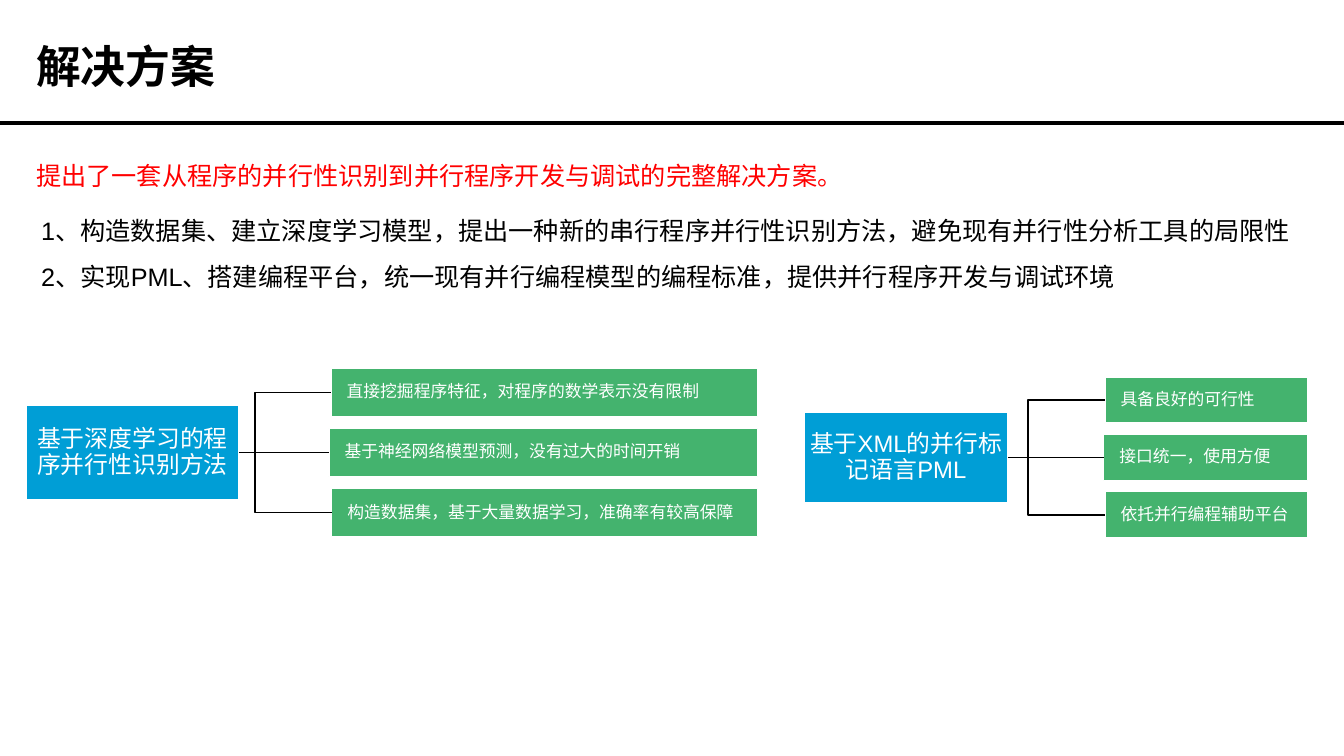
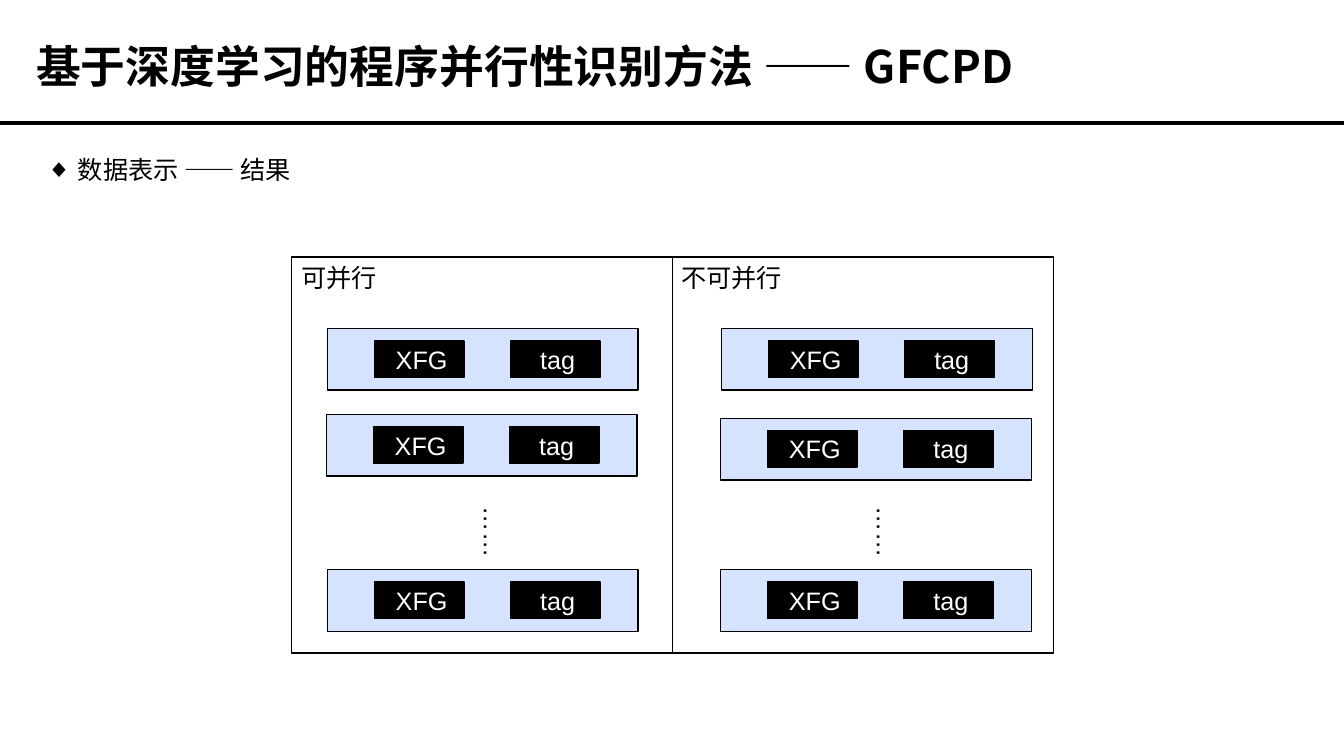
"""Build two slides: the solution overview and the data representation of GFCPD."""
from lxml import etree
from pptx import Presentation
from pptx.dml.color import RGBColor
from pptx.enum import lang, shapes, text
from pptx.oxml import ns
from pptx.util import Pt

BLACK = RGBColor(0x00, 0x00, 0x00)
WHITE = RGBColor(0xFF, 0xFF, 0xFF)
RED = RGBColor(0xFF, 0x00, 0x00)
BLUE = RGBColor(0x00, 0x9E, 0xD6)
GREEN = RGBColor(0x44, 0xB3, 0x6E)
PALE_BLUE = RGBColor(0xD5, 0xE3, 0xFF)
LATIN, CJK = "Arial", "Noto Sans CJK SC"

SOLUTION_TITLE = "解决方案"
SUMMARY = "提出了一套从程序的并行性识别到并行程序开发与调试的完整解决方案。"
STEPS = [
    "1、构造数据集、建立深度学习模型，提出一种新的串行程序并行性识别方法，避免现有并行性分析工具的局限性",
    "2、实现PML、搭建编程平台，统一现有并行编程模型的编程标准，提供并行程序开发与调试环境",
]
TREES = [
    {
        "root": "基于深度学习的程序并行性识别方法",
        "left": 18.7, "width": 152, "height": 67.4, "middle": 323.2,
        "spine": 182.2, "leaf_right": 541.2, "leaf_height": 34.5, "pitch": 43,
        "leaves": [
            (236.4, "直接挖掘程序特征，对程序的数学表示没有限制"),
            (235, "基于神经网络模型预测，没有过大的时间开销"),
            (237, "构造数据集，基于大量数据学习，准确率有较高保障"),
        ],
    },
    {
        "root": "基于XML的并行标记语言PML",
        "left": 574.5, "width": 145.4, "height": 65, "middle": 326.8,
        "spine": 734.4, "leaf_right": 933.8, "leaf_height": 33, "pitch": 41,
        "leaves": [
            (789.2, "具备良好的可行性"),
            (788.4, "接口统一，使用方便"),
            (789.2, "依托并行编程辅助平台"),
        ],
    },
]

DATA_TITLE = "基于深度学习的程序并行性识别方法 —— GFCPD"
DATA_HEADING = "数据表示 —— 结果"
PANEL = (208, 183.6, 544.4, 283)
CLASSES = [
    {"name": "可并行", "left": 208, "width": 69, "dots": 331.2,
     "samples": [(234, 234.7), (233.3, 296), (234, 407)]},
    {"name": "不可并行", "left": 479.6, "width": 89.3, "dots": 612,
     "samples": [(515.5, 234.7), (514.8, 298.8), (514.8, 407)]},
]
SAMPLE_SIZE = (221.8, 44)
TAGS = [(33.3, "XFG"), (130.5, "tag")]
TAG_TOP, TAG_SIZE = 8.8, (64.2, 26)


def points(values):
    """Turn plain numbers into lengths in points."""
    return [Pt(value) for value in values]


def set_all(target, values):
    """Set each attribute in a dict of format values."""
    for name, value in values.items():
        setattr(target, name, value)


def write(frame, lines, size, color, font=LATIN, bold=False, **layout):
    """Fill a text frame with one paragraph for each line."""
    for number, line in enumerate(lines):
        para = frame.paragraphs[0] if number == 0 else frame.add_paragraph()
        set_all(para, layout)
        span = para.add_run()
        span.text = line
        span.font.color.rgb = color
        set_all(span.font, {
            "size": Pt(size), "bold": bold, "name": font,
            "language_id": lang.MSO_LANGUAGE_ID.SIMPLIFIED_CHINESE})
        east_asian = etree.SubElement(span._r.get_or_add_rPr(), ns.qn("a:ea"))
        east_asian.set("typeface", CJK)


def add_label(page, area, lines, size=18, color=BLACK, wrap=False, **style):
    """Add a text box that grows with its text."""
    box = page.shapes.add_textbox(*points(area))
    set_all(box.text_frame, {
        "word_wrap": wrap, "auto_size": text.MSO_AUTO_SIZE.SHAPE_TO_FIT_TEXT})
    write(box.text_frame, lines, size, color, **style)
    return box


def outline(shape, color, width=1):
    """Give a shape a plain outline without a shadow."""
    shape.shadow.inherit = False
    shape.line.color.rgb = color
    shape.line.width = Pt(width)


def add_box(page, area, fill=None, line=BLACK):
    """Add a rectangle."""
    box = page.shapes.add_shape(shapes.MSO_SHAPE.RECTANGLE, *points(area))
    outline(box, line)
    if fill is None:
        box.fill.background()
    else:
        box.fill.solid()
        box.fill.fore_color.rgb = fill
    return box


def add_text_box(page, area, words, fill, line, size, align, margins, **layout):
    """Add a rectangle with white text, centred in height."""
    box = add_box(page, area, fill, line)
    left, other = points(margins)
    set_all(box.text_frame, {
        "word_wrap": True, "vertical_anchor": text.MSO_ANCHOR.MIDDLE,
        "margin_left": left, "margin_right": other,
        "margin_top": other, "margin_bottom": other})
    write(box.text_frame, [words], size, WHITE, alignment=align, **layout)
    return box


def add_line(page, ends, width):
    """Add a straight black line."""
    line = page.shapes.add_connector(shapes.MSO_CONNECTOR.STRAIGHT, *points(ends))
    line.line.color.rgb = BLACK
    line.line.width = Pt(width)
    etree.SubElement(line._element.spPr, ns.qn("a:effectLst"))
    return line


def join(page, start, start_side, end, end_side, width):
    """Join two sides of boxes with a line."""
    line = add_line(page, (0, 0, 0, 0), width)
    line.begin_connect(start, start_side)
    line.end_connect(end, end_side)


def add_page(deck, title):
    """Add a slide with the shared title and rule."""
    page = deck.slides.add_slide(deck.slide_layouts[6])
    add_line(page, (0, 88, 960, 88), 3)
    add_label(page, (18.7, 23.8, 833.8, 46), [title], 32, wrap=True, font=CJK, bold=True)
    return page


def add_tree(page, tree):
    """Add a root box with a bracket to its leaves."""
    middle, height = tree["middle"], tree["leaf_height"]
    root = add_text_box(
        page, (tree["left"], middle - tree["height"] / 2, tree["width"], tree["height"]),
        tree["root"], BLUE, WHITE, 17, text.PP_ALIGN.CENTER, (0.9, 0.9), line_spacing=0.9)
    centre = len(tree["leaves"]) // 2
    boxes, ends = [], []
    for number, (left, words) in enumerate(tree["leaves"]):
        level = middle + (number - centre) * tree["pitch"]
        area = (left, level - height / 2, tree["leaf_right"] - left, height)
        boxes.append(add_text_box(
            page, area, words, GREEN, WHITE, 12, text.PP_ALIGN.JUSTIFY, (11.2, 0.9),
            line_spacing=0.9))
        ends.append((left, level))
    spine = tree["spine"]
    corners = [(spine, ends[0][1]), (spine, ends[-1][1]), ends[-1]]
    builder = page.shapes.build_freeform(*points(ends[0]))
    builder.add_line_segments([points(corner) for corner in corners], close=False)
    bracket = builder.convert_to_shape()
    bracket.fill.background()
    outline(bracket, BLACK)
    join(page, root, 3, boxes[centre], 1, 1)


def add_sample(page, left, top):
    """Add one sample with its graph and its tag."""
    add_box(page, (left, top, *SAMPLE_SIZE), PALE_BLUE)
    for offset, words in TAGS:
        add_text_box(page, (left + offset, top + TAG_TOP, *TAG_SIZE), words,
                     BLACK, BLACK, 18, text.PP_ALIGN.CENTER, (7.2, 3.6))


def add_bullet(para, char, indent):
    """Give a paragraph a hanging bullet."""
    props = para._p.get_or_add_pPr()
    props.set("marL", str(Pt(indent)))
    props.set("indent", str(-Pt(indent)))
    etree.SubElement(props, ns.qn("a:buFont")).set("typeface", LATIN)
    etree.SubElement(props, ns.qn("a:buChar")).set("char", char)


def build_solution(deck):
    """Build the solution overview."""
    page = add_page(deck, SOLUTION_TITLE)
    add_label(page, (18.7, 110.9, 617, 28.8), [SUMMARY], color=RED)
    add_label(page, (22.3, 139.7, 915, 69), STEPS, line_spacing=1.5)
    for tree in TREES:
        add_tree(page, tree)


def build_data(deck):
    """Build the data representation."""
    page = add_page(deck, DATA_TITLE)
    heading = add_label(page, (26, 106.6, 193, 28.8), [DATA_HEADING])
    add_bullet(heading.text_frame.paragraphs[0], "◆", 22.5)
    panel = add_box(page, PANEL)
    join(page, panel, 0, panel, 2, 0.5)
    for group in CLASSES:
        add_label(page, (group["left"], PANEL[1], group["width"], 28.8), [group["name"]])
        for left, top in group["samples"]:
            add_sample(page, left, top)
        dots = add_label(page, (group["dots"], 355, 36, 44), ["……"])
        dots.text_frame._txBody.bodyPr.set("vert", "eaVert")


def main():
    """Build and save the deck."""
    deck = Presentation()
    deck.slide_width, deck.slide_height = Pt(960), Pt(540)
    build_solution(deck)
    build_data(deck)
    deck.save("out.pptx")


if __name__ == "__main__":
    main()
